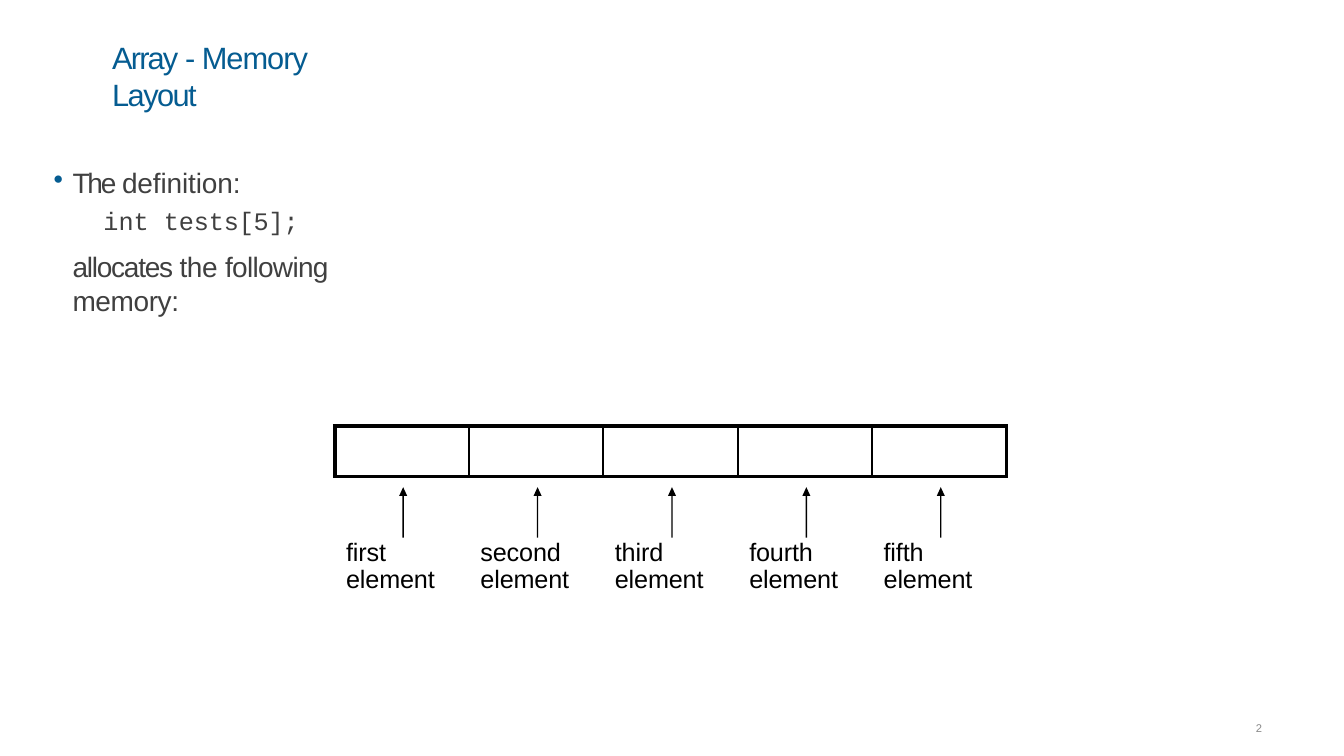
"""Build the slide on the memory layout of an array."""
from dataclasses import dataclass

from lxml.etree import SubElement
from pptx import Presentation
from pptx.dml.color import RGBColor
from pptx.enum.text import MSO_AUTO_SIZE
from pptx.oxml.ns import qn
from pptx.slide import Slide
from pptx.table import _Cell
from pptx.text.text import _Paragraph
from pptx.util import Emu, Pt

BLUE, GRAY, PALE, BLACK = "055C91", "404040", "898989", "000000"
STEP = 200


@dataclass(frozen=True)
class Run:
    """Text with its letter spacing in points."""

    text: str
    gap: float = 0


@dataclass(frozen=True)
class Para:
    """A paragraph with one font and its spacing."""

    runs: tuple[Run, ...]
    size: int
    color: str
    before: float
    left: int = 0
    hang: int = 0
    font: str = "Arial"
    line: int = 0
    bullet: str = ""


@dataclass(frozen=True)
class Box:
    """A text box in px."""

    x: int
    y: int
    w: int
    h: int
    inset: int
    paras: tuple[Para, ...]


def px(size: int) -> Emu:
    """Turn px into EMU, 150 px to the inch."""
    return Emu(size * 6096)


def rgb(color: str) -> RGBColor:
    """Turn a hex string into a colour."""
    return RGBColor.from_string(color)


def add_para(item: _Paragraph, para: Para) -> None:
    """Fill a paragraph run by run."""
    item.space_before = Pt(para.before)
    if para.line:
        item.line_spacing = Pt(para.line)
    props = item._p.get_or_add_pPr()
    props.set("marL", str(px(para.left)))
    props.set("indent", str(px(para.hang)))
    if para.bullet:
        tint = SubElement(props, qn("a:buClr"))
        SubElement(tint, qn("a:srgbClr"), val=BLUE)
        SubElement(props, qn("a:buChar"), char=para.bullet)
    for part in para.runs:
        run = item.add_run()
        run.text = part.text
        run.font.name = para.font
        run.font.size = Pt(para.size)
        run.font.color.rgb = rgb(para.color)
        run._r.get_or_add_rPr().set("spc", str(round(part.gap * 100)))


def add_box(slide: Slide, box: Box) -> None:
    """Draw a text box."""
    shape = slide.shapes.add_textbox(px(box.x), px(box.y), px(box.w), px(box.h))
    frame = shape.text_frame
    frame.word_wrap = True
    frame.auto_size = MSO_AUTO_SIZE.SHAPE_TO_FIT_TEXT
    frame.margin_left = frame.margin_right = frame.margin_bottom = 0
    frame.margin_top = px(box.inset)
    for num, para in enumerate(box.paras):
        add_para(frame.paragraphs[0] if num == 0 else frame.add_paragraph(), para)


def add_edge(cell: _Cell, side: str, width: float) -> None:
    """Draw one border of a cell."""
    props = cell._tc.get_or_add_tcPr()
    line = SubElement(props, qn(f"a:ln{side}"), w=str(Pt(width)))
    fill = SubElement(line, qn("a:solidFill"))
    SubElement(fill, qn("a:srgbClr"), val=BLACK)


def add_array(slide: Slide, count: int) -> None:
    """Draw the array as a table of one row."""
    table = slide.shapes.add_table(
        1, count, px(498), px(634), px(count * STEP), px(75)
    ).table
    table.first_row = table.horz_banding = False
    for num in range(count):
        cell = table.cell(0, num)
        add_edge(cell, "L", 3 if num == 0 else 1.5)
        add_edge(cell, "R", 3 if num == count - 1 else 1.5)
        add_edge(cell, "T", 3)
        add_edge(cell, "B", 3)
        cell.fill.background()


def add_arrow(slide: Slide, x: int, y: int) -> None:
    """Draw an upward arrow with its tip at x, y."""
    form = slide.shapes.build_freeform(x, y, scale=px(1))
    turns = ((6, 13), (1, 13), (1, 75), (-1, 75), (-1, 13), (-6, 13))
    form.add_line_segments([(x + dx, y + dy) for dx, dy in turns])
    shape = form.convert_to_shape()
    shape.shadow.inherit = False
    shape.fill.solid()
    shape.fill.fore_color.rgb = rgb(BLACK)
    shape.line.fill.background()


TITLE = (Run("Array ", -1.3), Run("- Memory ", -0.7), Run("Layout", -1.1))
TERM = (Run("The ", -1.6), Run("definition:", -0.1))
CODE = (Run("int "), Run("tests[5];", -0.1))
REST = (Run("allocates ", -0.9), Run("the ", -0.3),
        Run("following ", -0.5), Run("memory:", -0.3))
BODY = (
    Para(TERM, 20, GRAY, 5.3, 30, -28, bullet="•"),
    Para(CODE, 18, GRAY, 3.9, 76, font="Courier New"),
    Para(REST, 20, GRAY, 10.5, 30),
)
BOXES = (
    Box(165, 56, 428, 58, 2, (Para(TITLE, 22, BLUE, 1, 2),)),
    Box(78, 237, 576, 189, 10, BODY),
    Box(1863, 1072, 32, 24, 2, (Para((Run("2", -0.2),), 8, PALE, 0.6, 6),)),
)
NAMES = ("first", "second", "third", "fourth", "fifth")


def main() -> None:
    """Build and save the slide."""
    deck = Presentation()
    deck.slide_width, deck.slide_height = px(2000), px(1125)
    slide = deck.slides.add_slide(deck.slide_layouts[6])
    for box in BOXES:
        add_box(slide, box)
    add_array(slide, len(NAMES))
    for num, name in enumerate(NAMES):
        label = Para((Run(f"{name} element", -0.1),), 18, BLACK, 3.8, 2, line=19)
        add_box(slide, Box(513 + num * STEP, 796, 138, 88, 8, (label,)))
        add_arrow(slide, 600 + num * STEP, 725)
    deck.save("out.pptx")


if __name__ == "__main__":
    main()
